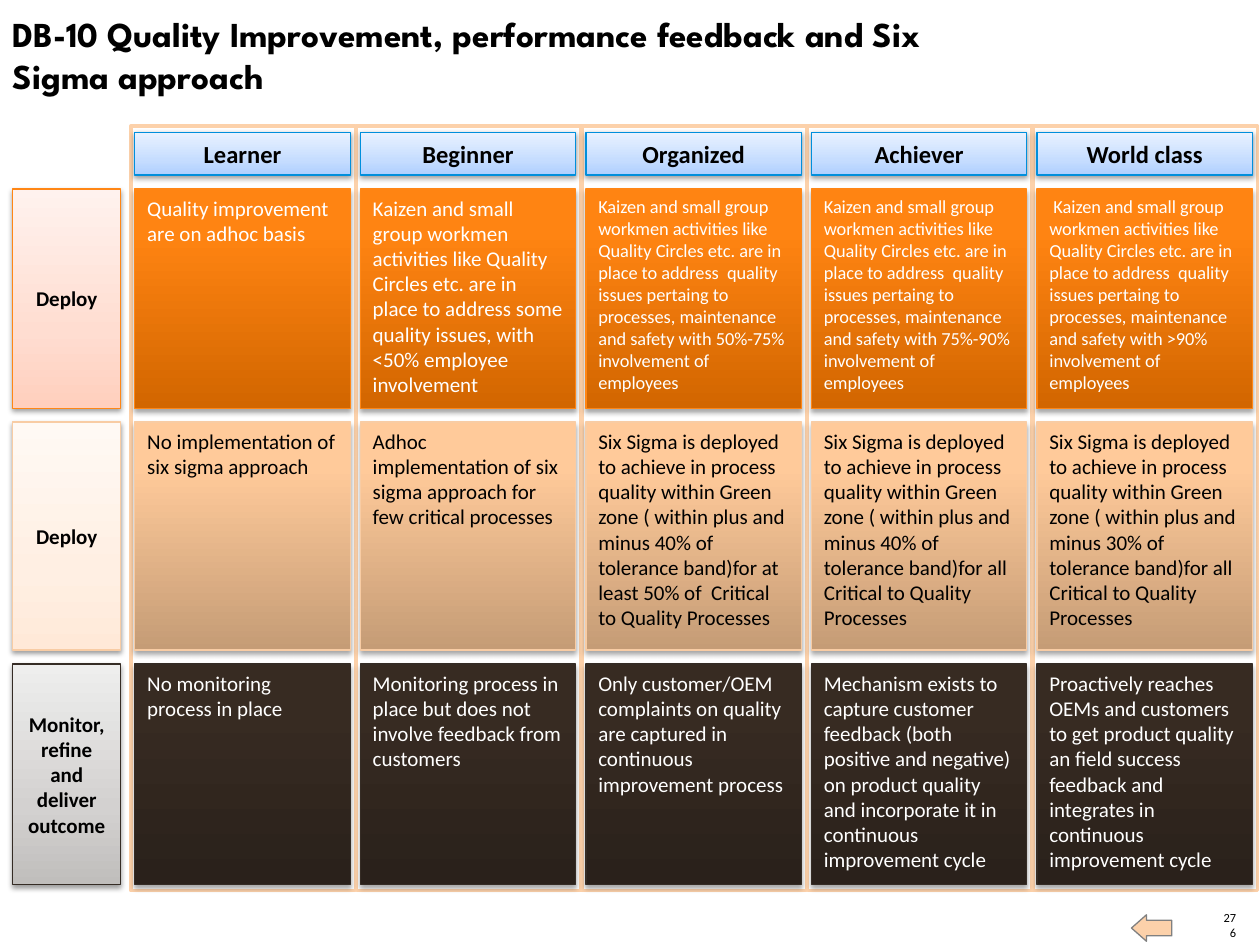
from pptx import Presentation
from pptx.dml.color import RGBColor
from pptx.enum.shapes import MSO_SHAPE
from pptx.enum.text import MSO_ANCHOR, PP_ALIGN
from pptx.oxml import parse_xml
from pptx.oxml.ns import nsdecls, qn
from pptx.util import Inches, Pt

TITLE = "DB-10 Quality Improvement, performance feedback and Six Sigma approach"
LEVELS = ["Learner", "Beginner", "Organized", "Achiever", "World class"]
CIRCLES = ("Kaizen and small group workmen activities like Quality Circles etc. are in place to address"
           "  quality issues pertaing to processes, maintenance and safety with {} involvement of employees")
SIGMA = ("Six Sigma is deployed to achieve in process quality within Green zone ( within plus and minus "
         "{} of tolerance band)for {} Critical to Quality Processes")

ROWS = [
    {"label": "Deploy", "top": 1.5, "height": 1.74, "line": "FF8615", "color": "FFFFFF",
     "label_fill": ["FFCFBD", "FFDDD1", "FFF2EE"], "cell_fill": ["D26600", "FF8412", "FF8514"],
     "sizes": [12, 12, 10.5, 10.5, 10.5],
     "texts": ["Quality improvement are on adhoc basis",
               "Kaizen and small group workmen activities like Quality Circles etc. are in place to "
               "address some quality issues, with <50% employee involvement",
               CIRCLES.format("50%-75%"), CIRCLES.format("75%-90%"), " " + CIRCLES.format(">90%")]},
    {"label": "Deploy", "top": 3.35, "height": 1.81, "line": "F8CCA4", "color": "000000",
     "label_fill": ["FFE9D8", "FFEFE3", "FFF9F4"], "cell_fill": ["C59C76", "FFCA9A", "FFCB9C"],
     "sizes": [12] * 5,
     "texts": ["No implementation of six sigma approach",
               "Adhoc implementation of six sigma approach for few critical processes",
               SIGMA.format("40%", "at least 50% of "), SIGMA.format("40%", "all"),
               SIGMA.format("30%", "all")]},
    {"label": "Monitor, refine and deliver outcome", "top": 5.27, "height": 1.75,
     "line": "352C25", "color": "FFFFFF",
     "label_fill": ["C0BEBC", "D3D1D0", "EEEEED"], "cell_fill": ["2A211B", "372B22", "372B22"],
     "sizes": [12] * 5,
     "texts": ["No monitoring process in place",
               "Monitoring process in place but does not involve feedback from customers",
               "Only customer/OEM complaints on quality are captured in continuous improvement process",
               "Mechanism exists to capture customer feedback (both positive and negative) on product "
               "quality and incorporate it in continuous improvement cycle",
               "Proactively reaches OEMs and customers to get product quality an field success feedback "
               "and integrates in continuous improvement cycle"]},
]
HEADER_FILL = ["AECFFF", "C6DDFF", "E9F2FF"]
COLUMN_LEFT, COLUMN_PITCH, COLUMN_WIDTH = 1.04, 1.79, 1.78
CELL_INSET, CELL_WIDTH = 0.03, 1.71
LABEL_LOOK = {"middle": 35, "shadow": (38, 1.6)}
CELL_LOOK = {"middle": 80, "shadow": (35, 1.8)}


def rgb(value):
    return RGBColor.from_string(value)


def write(box, text, size=12, color="000000", font="Calibri", bold=False,
          align=PP_ALIGN.LEFT, anchor=MSO_ANCHOR.TOP):
    frame = box.text_frame
    frame.word_wrap = True
    frame.vertical_anchor = anchor
    para = frame.paragraphs[0]
    para.alignment = align
    span = para.add_run()
    span.text = text
    span.font.size, span.font.name, span.font.bold = Pt(size), font, bold
    span.font.color.rgb = rgb(color)


def add_block(page, left, top, width, height, fill, line, weight=0.75, kind=MSO_SHAPE.RECTANGLE):
    block = page.shapes.add_shape(kind, Inches(left), Inches(top), Inches(width), Inches(height))
    block.shadow.inherit = False
    block.fill.solid()
    block.fill.fore_color.rgb = rgb(fill)
    block.line.color.rgb = rgb(line)
    block.line.width = Pt(weight)
    return block


def add_shaded_block(page, left, top, width, height, colors, line, middle, shadow):
    block = add_block(page, left, top, width, height, colors[0], line)
    stops = "".join(f'<a:gs pos="{place * 1000}"><a:srgbClr val="{color}"/></a:gs>'
                    for place, color in zip((0, middle, 100), colors))
    properties = block.element.spPr
    properties.replace(properties.find(qn("a:solidFill")), parse_xml(
        f'<a:gradFill {nsdecls("a")} rotWithShape="1"><a:gsLst>{stops}</a:gsLst>'
        '<a:lin ang="16200000" scaled="0"/></a:gradFill>'))
    opacity, distance = shadow
    properties.find(qn("a:effectLst")).append(parse_xml(
        f'<a:outerShdw {nsdecls("a")} blurRad="{Pt(3.1)}" dist="{Pt(distance)}" dir="5400000" '
        f'rotWithShape="0"><a:srgbClr val="000000"><a:alpha val="{opacity * 1000}"/></a:srgbClr>'
        '</a:outerShdw>'))
    return block


def add_footer(page):
    arrow = add_block(page, 8.98, 7.26, 0.32, 0.21, "FCD1AA", "808080", kind=MSO_SHAPE.RIGHT_ARROW)
    arrow.rotation = 180
    arrow.adjustments[0], arrow.adjustments[1] = 0.588, 0.565
    number = page.shapes.add_textbox(Inches(9.69), Inches(7.34), Inches(0.12), Inches(0.12))
    frame = number.text_frame
    frame.margin_left = frame.margin_right = frame.margin_top = frame.margin_bottom = 0
    write(number, "276", size=7.1, align=PP_ALIGN.RIGHT, anchor=MSO_ANCHOR.BOTTOM)


def main():
    """Build the maturity grid slide and save it."""
    deck = Presentation()
    deck.slide_width, deck.slide_height = Inches(10), Inches(7.5)
    page = deck.slides.add_slide(deck.slide_layouts[5])
    title = page.shapes.title
    title.left, title.top, title.width, title.height = map(Inches, (0, 0.05, 7.7, 0.77))
    write(title, TITLE, size=20, font="League Spartan", bold=True)
    add_footer(page)

    heading = {"bold": True, "align": PP_ALIGN.CENTER, "anchor": MSO_ANCHOR.MIDDLE}
    lefts = [COLUMN_LEFT + COLUMN_PITCH * index for index in range(len(LEVELS))]
    for left in lefts:
        add_block(page, left, 1, COLUMN_WIDTH, 6.07, "FFFFFF", "FCD1AA", weight=2)
    for left, level in zip(lefts, LEVELS):
        header = add_shaded_block(page, left + CELL_INSET, 1.05, CELL_WIDTH, 0.34,
                                  HEADER_FILL, "008FDC", **LABEL_LOOK)
        write(header, level, size=14, **heading)
    for row in ROWS:
        label = add_shaded_block(page, 0.1, row["top"], 0.86, row["height"],
                                 row["label_fill"], row["line"], **LABEL_LOOK)
        write(label, row["label"], **heading)
        for left, text, size in zip(lefts, row["texts"], row["sizes"]):
            cell = add_shaded_block(page, left + CELL_INSET, row["top"], CELL_WIDTH, row["height"],
                                    row["cell_fill"], row["line"], **CELL_LOOK)
            write(cell, text, size=size, color=row["color"])
    deck.save("out.pptx")


if __name__ == "__main__":
    main()
